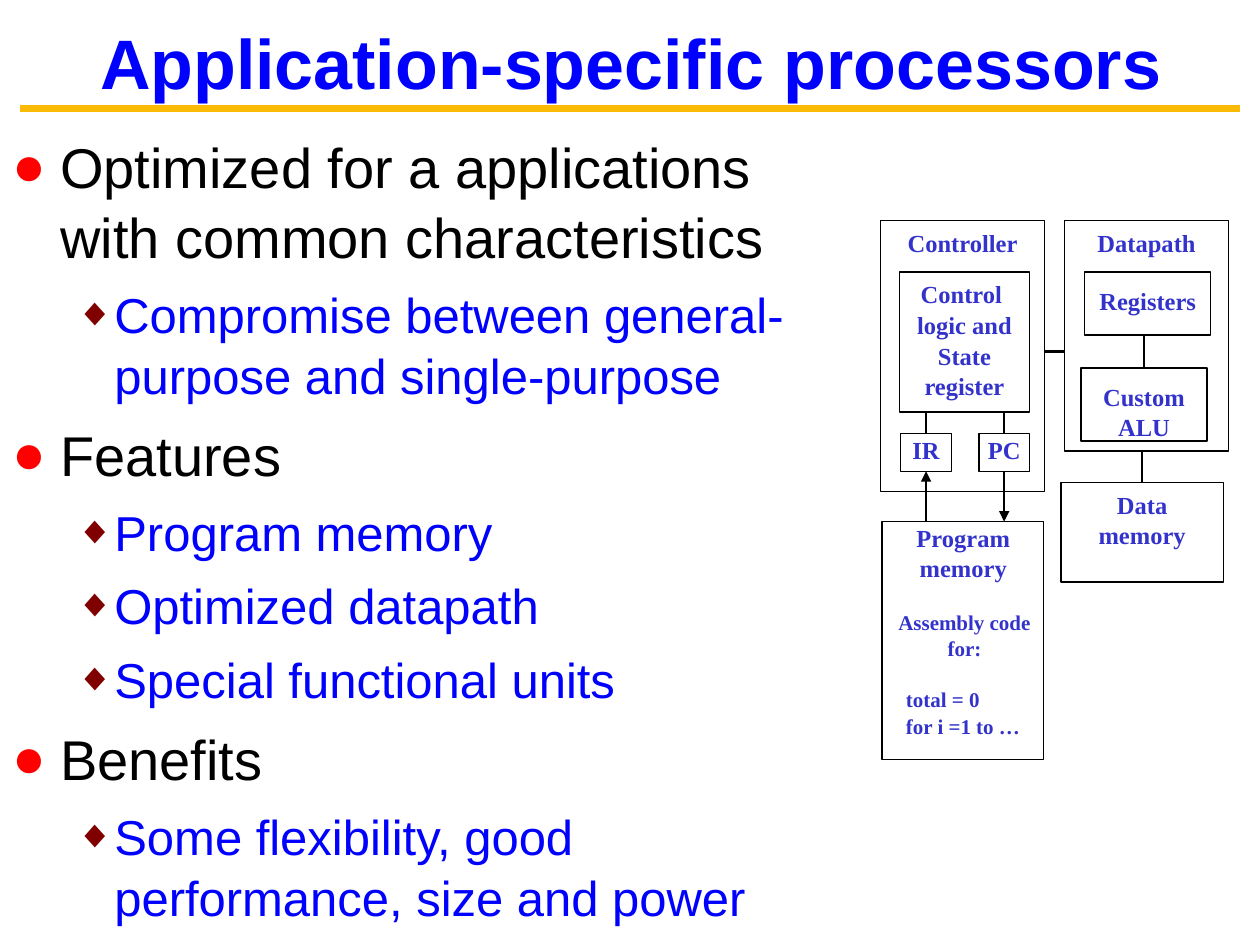
from lxml.etree import SubElement
from pptx import Presentation
from pptx.dml.color import RGBColor
from pptx.enum.shapes import MSO_CONNECTOR, MSO_SHAPE
from pptx.enum.text import MSO_ANCHOR, MSO_AUTO_SIZE, PP_ALIGN
from pptx.oxml.ns import qn
from pptx.util import Inches, Pt

COLORS = {
    "title": "0000FF", "rule": "FBBA03", "text": "000000", "sub": "0000FF",
    "dot": "FF0000", "gem": "800000", "label": "3333CC",
    "line": "000000", "fill": "FFFFFF",
}
COLS, ROWS = 100, 75  # grid over a 10 x 7.5 inch slide
WIDE, HIGH = Inches(10), Inches(7.5)

# Level formats of the bullet list
MAIN = dict(size=32, color="text", before=8, left=0.38, hang=0.38,
            mark=("●", "dot", 100))
SUB = dict(size=28, color="sub", before=7, left=0.81, hang=0.31, level=1,
           mark=("◆", "gem", 80))
POINTS = [
    ("Optimized for a applications with common characteristics", MAIN),
    ("Compromise between general-purpose and single-purpose", SUB),
    ("Features", MAIN),
    ("Program memory", SUB),
    ("Optimized datapath", SUB),
    ("Special functional units", SUB),
    ("Benefits", MAIN),
    ("Some flexibility, good performance, size and power", SUB),
]
LABEL = dict(font="Times New Roman", size=14, color="label", bold=True,
             align=PP_ALIGN.CENTER)


def col(n):
    return round(WIDE * n / COLS)


def row(n):
    return round(HIGH * n / ROWS)


def rgb(name):
    return RGBColor.from_string(COLORS[name])


def bullet(para, sign, color, size):
    props = para._p.get_or_add_pPr()
    tint = SubElement(props, qn("a:buClr"))
    SubElement(tint, qn("a:srgbClr"), val=COLORS[color])
    SubElement(props, qn("a:buSzPct"), val=str(size * 1000))
    SubElement(props, qn("a:buFont"), typeface="Arial")
    SubElement(props, qn("a:buChar"), char=sign)


def style(para, font="Arial", size=14, color="text", bold=False, align=None,
          before=0, left=0, hang=0, level=0, mark=None):
    para.level = level
    para.alignment = align or PP_ALIGN.LEFT
    para.line_spacing = 1.04
    para.space_before = Pt(before)
    props = para._p.get_or_add_pPr()
    props.set("marL", str(Inches(left)))
    props.set("indent", str(-Inches(hang)))
    if mark:
        bullet(para, *mark)
    for run in para.runs:
        run.font.name, run.font.size = font, Pt(size)
        run.font.bold, run.font.color.rgb = bold, rgb(color)


def write(shape, items, pad=(0.1, 0.05, 0.1, 0.05), anchor=MSO_ANCHOR.TOP,
          **base):
    """Fill a shape with items: plain strings or (string, format) pairs."""
    frame = shape.text_frame
    frame.word_wrap, frame.auto_size = True, MSO_AUTO_SIZE.NONE
    frame.vertical_anchor = anchor
    (frame.margin_left, frame.margin_top,
     frame.margin_right, frame.margin_bottom) = map(Inches, pad)
    for i, item in enumerate(items):
        text, extra = (item, {}) if isinstance(item, str) else item
        para = frame.add_paragraph() if i else frame.paragraphs[0]
        para.add_run().text = text
        form = {**base, **extra}
        if i == 0:
            form["before"] = 0
        style(para, **form)


def area(slide, x, y, w, h):
    return slide.shapes.add_textbox(col(x), row(y), col(w), row(h))


def box(slide, x, y, w, h, *lines, pad=(0, 0.05, 0, 0.05), solid=True):
    shape = slide.shapes.add_shape(MSO_SHAPE.RECTANGLE,
                                   col(x), row(y), col(w), row(h))
    shape.shadow.inherit = False
    if solid:
        shape.fill.solid()
        shape.fill.fore_color.rgb = rgb("fill")
    else:
        shape.fill.background()
    shape.line.color.rgb, shape.line.width = rgb("line"), Pt(0.75)
    if lines:
        write(shape, lines, pad=pad, **LABEL)
    return shape


def link(slide, x1, y1, x2, y2, color="line", width=1.5, arrow=False):
    line = slide.shapes.add_connector(MSO_CONNECTOR.STRAIGHT,
                                      col(x1), row(y1), col(x2), row(y2))
    line.line.color.rgb, line.line.width = rgb(color), Pt(width)
    if arrow:
        SubElement(line.line._get_or_add_ln(), qn("a:tailEnd"),
                   type="triangle")
    SubElement(line._element.spPr, qn("a:effectLst"))
    return line


def head(slide):
    link(slide, 1.6, 8.6, 98.4, 8.6, color="rule", width=3.75)
    title = slide.shapes.title
    title.left, title.top = col(1.9), row(1.4)
    title.width, title.height = col(96.3), row(6.7)
    write(title, ["Application-specific processors"], size=40, color="title",
          bold=True, align=PP_ALIGN.CENTER, anchor=MSO_ANCHOR.MIDDLE)


def diagram(slide):
    # Outer blocks
    box(slide, 69.9, 17.5, 13, 21.5, "Controller", solid=False,
        pad=(0.1, 0.05, 0.1, 0.05))
    box(slide, 84.5, 17.5, 13, 18.3, "Datapath", solid=False,
        pad=(0.1, 0.05, 0.1, 0.05))

    # Inner blocks
    box(slide, 71.4, 21.6, 10.3, 11.1, "Control ", "logic and State register",
        pad=(0, 0.05, 0, 0))
    regs = [box(slide, x, 34.4, 4, 3, name, pad=(0, 0, 0, 0))
            for x, name in ((71.5, "IR"), (77.7, "PC"))]
    box(slide, 86.1, 21.6, 10, 5, "Registers", pad=(0, 0.1, 0, 0.05))
    alu = box(slide, 85.8, 29.2, 10, 5.8, "Custom", "ALU",
              pad=(0, 0.1, 0, 0.05))

    # Memories
    data = box(slide, 84.2, 38.3, 12.9, 7.9, "Data", "memory")
    box(slide, 70, 41.4, 12.8, 18.9)
    write(area(slide, 70, 40.9, 12.9, 3.8), ["Program memory"],
          pad=(0, 0.05, 0, 0.05), **LABEL)
    code = dict(align=PP_ALIGN.LEFT, left=0.08)
    write(area(slide, 71.1, 47.8, 10.9, 8),
          ["Assembly code for:", ("total = 0", {**code, "before": 14.4}),
           ("for i =1 to …", code)],
          pad=(0, 0.05, 0, 0.05), **{**LABEL, "size": 12})

    # Links down into the top of a block
    ir, pc = regs
    for block, x, y1, y2 in ((ir, 73.5, 32.7, 34.4), (pc, 79.7, 32.7, 34.4),
                             (alu, 90.8, 26.6, 29.2),
                             (data, 90.65, 35.8, 38.3)):
        link(slide, x, y1, x, y2).end_connect(block, 0)
    link(slide, 82.9, 27.9, 84.5, 27.9)

    # Arrows to and from program memory
    link(slide, 73.5, 41.4, 73.5, 37.4, arrow=True).end_connect(ir, 2)
    link(slide, 79.7, 37.4, 79.7, 41.4, arrow=True).begin_connect(pc, 2)


def main():
    deck = Presentation()
    deck.slide_width, deck.slide_height = WIDE, HIGH
    slide = deck.slides.add_slide(deck.slide_layouts[5])
    head(slide)
    write(area(slide, 0, 9.8, 69.6, 65.2), POINTS)
    diagram(slide)
    deck.save("out.pptx")


if __name__ == "__main__":
    main()
